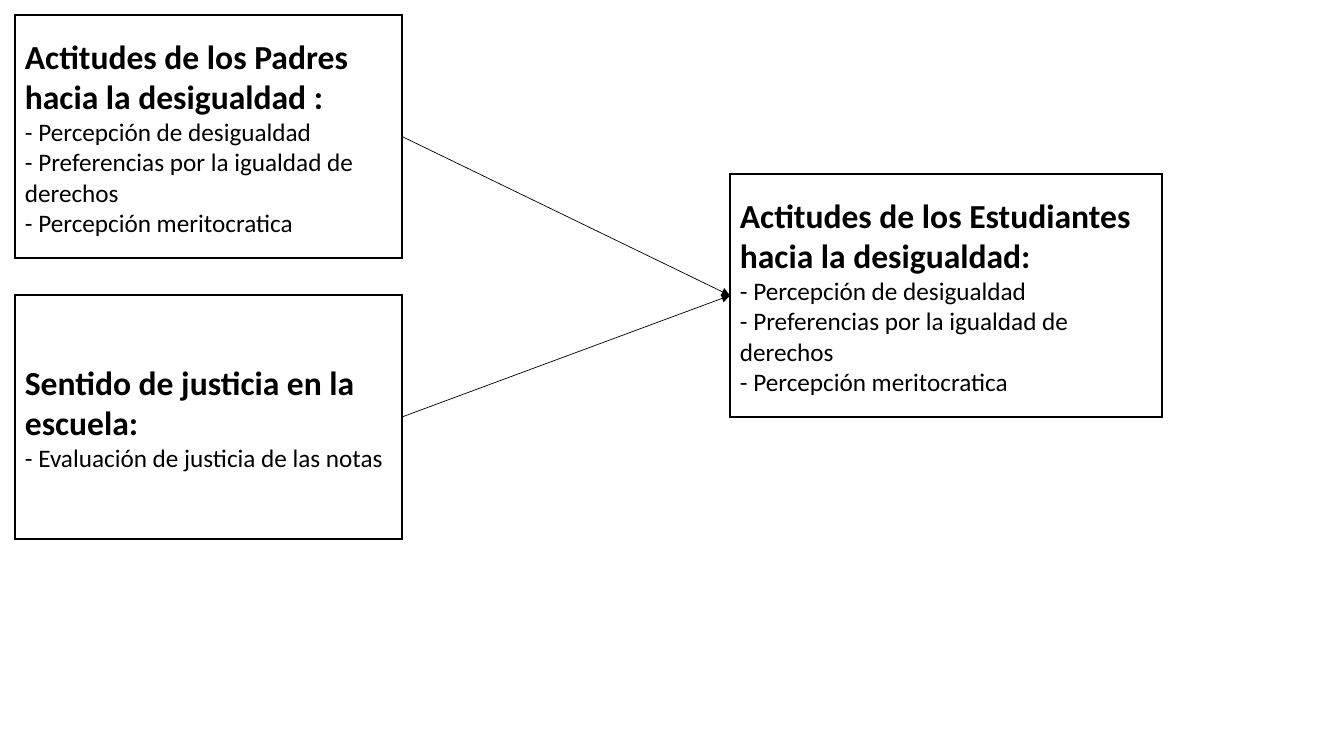
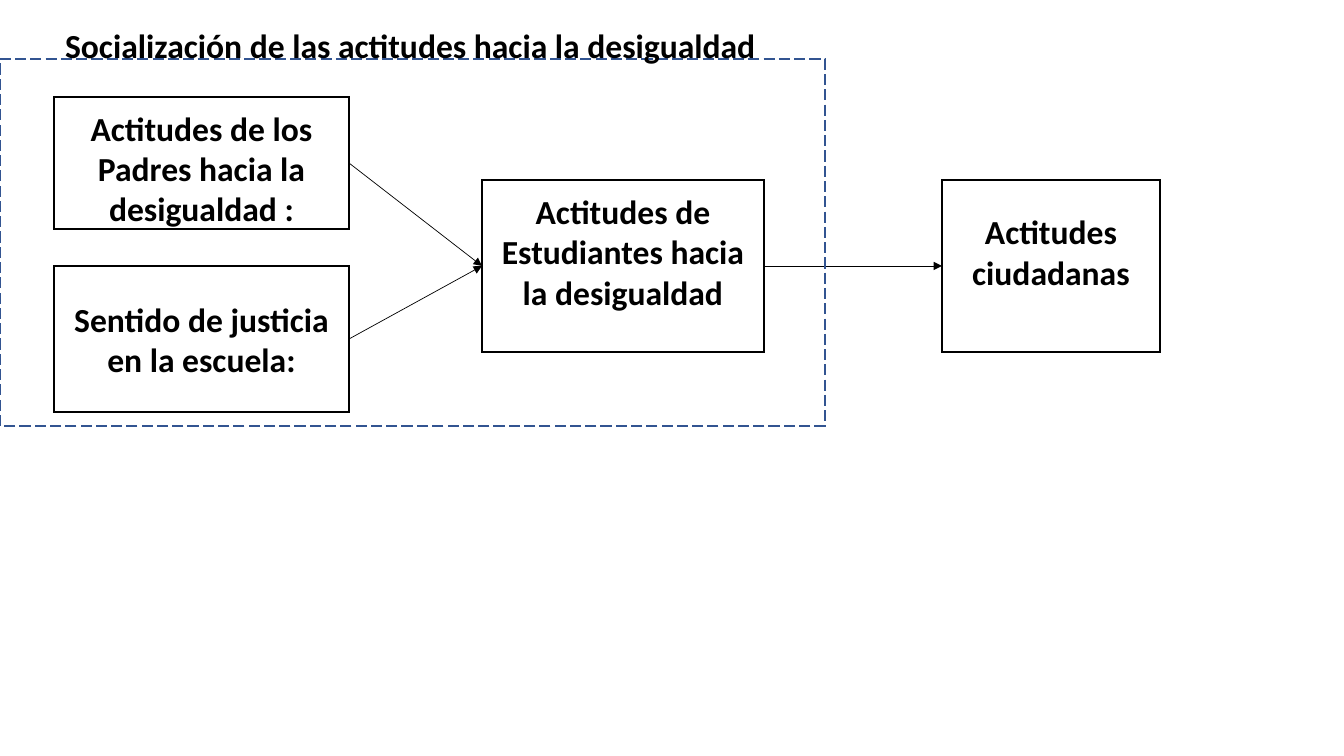
from dataclasses import dataclass

from lxml import etree
from pptx import Presentation
from pptx.dml.color import RGBColor
from pptx.enum.dml import MSO_LINE
from pptx.enum.shapes import MSO_CONNECTOR, MSO_SHAPE
from pptx.enum.text import MSO_ANCHOR, MSO_AUTO_SIZE, PP_ALIGN
from pptx.oxml.ns import qn
from pptx.shapes.autoshape import Shape
from pptx.slide import Slide
from pptx.text.text import TextFrame
from pptx.util import Emu, Pt

RECTANGLE = MSO_SHAPE.RECTANGLE
STRAIGHT = MSO_CONNECTOR.STRAIGHT
LONG_DASH = MSO_LINE.LONG_DASH
LEFT, CENTER = PP_ALIGN.LEFT, PP_ALIGN.CENTER
TOP, MIDDLE = MSO_ANCHOR.TOP, MSO_ANCHOR.MIDDLE
NO_RESIZE = MSO_AUTO_SIZE.NONE

LEFT_SITE, RIGHT_SITE = 1, 3  # connection sites of a rectangle
TITLE_ONLY, BLANK = 5, 6  # layouts of the default template
PAGE_WIDTH, PAGE_HEIGHT = 1344, 756


# Theme
@dataclass(frozen=True)
class Theme:
    font: str = "Calibri"
    ink: RGBColor = RGBColor(0x00, 0x00, 0x00)
    paper: RGBColor = RGBColor(0xFF, 0xFF, 0xFF)
    frame: RGBColor = RGBColor(0x32, 0x54, 0x91)
    heading: float = 24
    item: float = 18
    outline: float = 1
    arrow: float = 0.5


THEME = Theme()


@dataclass(frozen=True)
class Area:
    left: int
    top: int
    width: int
    height: int

    def emu(self) -> tuple[Emu, Emu, Emu, Emu]:
        return px(self.left), px(self.top), px(self.width), px(self.height)


@dataclass(frozen=True)
class Concept:
    key: str
    area: Area
    heading: str
    items: tuple[str, ...] = ()
    align: PP_ALIGN = CENTER
    inset_top: int = 5
    inset_bottom: int = 5


@dataclass(frozen=True)
class Diagram:
    concepts: tuple[Concept, ...]
    arrows: tuple[tuple[str, str], ...]
    title: str = ""
    title_area: Area | None = None
    frame: Area | None = None


def px(pixels: int) -> Emu:
    return Emu(round(pixels * 914400 / 100.8))


# Drawing functions
def write(text_frame: TextFrame, heading: str, *, items: tuple[str, ...] = (),
          align: PP_ALIGN = LEFT, anchor: MSO_ANCHOR = MIDDLE,
          inset_top: int = 5, inset_bottom: int = 5) -> None:
    text_frame.word_wrap = True
    text_frame.auto_size = NO_RESIZE
    text_frame.vertical_anchor = anchor
    text_frame.margin_top, text_frame.margin_bottom = px(inset_top), px(inset_bottom)
    for index, text in enumerate((heading, *items)):
        is_heading = index == 0
        para = text_frame.paragraphs[0] if is_heading else text_frame.add_paragraph()
        para.alignment = align
        span = para.add_run()
        span.text = text
        span.font.name = THEME.font
        span.font.size = Pt(THEME.heading if is_heading else THEME.item)
        span.font.bold = is_heading
        span.font.color.rgb = THEME.ink


def draw_rectangle(page: Slide, area: Area, line_color: RGBColor, *,
                   fill: RGBColor | None = None, dash: MSO_LINE | None = None) -> Shape:
    box = page.shapes.add_shape(RECTANGLE, *area.emu())
    box.shadow.inherit = False
    if fill is None:
        box.fill.background()
    else:
        box.fill.solid()
        box.fill.fore_color.rgb = fill
    box.line.color.rgb = line_color
    box.line.width = Pt(THEME.outline)
    box.line.dash_style = dash
    outline = box.element.spPr.find(qn("a:ln"))
    etree.SubElement(outline, qn("a:miter"), lim="800000")
    return box


def draw_concept(page: Slide, concept: Concept) -> Shape:
    box = draw_rectangle(page, concept.area, THEME.ink, fill=THEME.paper)
    write(box.text_frame, concept.heading, items=concept.items, align=concept.align,
          inset_top=concept.inset_top, inset_bottom=concept.inset_bottom)
    return box


def draw_arrow(page: Slide, cause: Shape, effect: Shape) -> None:
    arrow = page.shapes.add_connector(
        STRAIGHT,
        cause.left + cause.width, cause.top + cause.height // 2,
        effect.left, effect.top + effect.height // 2,
    )
    arrow.begin_connect(cause, RIGHT_SITE)
    arrow.end_connect(effect, LEFT_SITE)
    arrow.line.color.rgb = THEME.ink
    arrow.line.width = Pt(THEME.arrow)
    properties = arrow.element.spPr
    etree.SubElement(properties.find(qn("a:ln")), qn("a:tailEnd"), type="triangle")
    etree.SubElement(properties, qn("a:effectLst"))


def draw_title(page: Slide, text: str, area: Area) -> None:
    title = page.shapes.title
    title.left, title.top, title.width, title.height = area.emu()
    write(title.text_frame, text, anchor=TOP)
    page.shapes.element.append(title.element)  # in front of the frame


def draw_diagram(deck: Presentation, diagram: Diagram) -> None:
    layout = TITLE_ONLY if diagram.title else BLANK
    page = deck.slides.add_slide(deck.slide_layouts[layout])
    boxes = {concept.key: draw_concept(page, concept) for concept in diagram.concepts}
    for cause, effect in diagram.arrows:
        draw_arrow(page, boxes[cause], boxes[effect])
    if diagram.frame:
        draw_rectangle(page, diagram.frame, THEME.frame, dash=LONG_DASH)
    if diagram.title_area:
        draw_title(page, diagram.title, diagram.title_area)


# Content
PARENTS, SCHOOL, STUDENTS, CITIZENS = "parents", "school", "students", "citizens"
PARENTS_HEADING = "Actitudes de los Padres hacia la desigualdad :"
SCHOOL_HEADING = "Sentido de justicia en la escuela:"
INFLUENCES = ((PARENTS, STUDENTS), (SCHOOL, STUDENTS))
ATTITUDES = (
    "- Percepción de desigualdad",
    "- Preferencias por la igualdad de derechos",
    "- Percepción meritocratica",
)
RAISED = 34  # bottom inset that lifts a heading above the middle

DIAGRAMS = (
    Diagram(
        concepts=(
            Concept(PARENTS, Area(15, 15, 387, 243), PARENTS_HEADING, ATTITUDES, LEFT),
            Concept(STUDENTS, Area(730, 174, 432, 243),
                    "Actitudes de los Estudiantes hacia la desigualdad:", ATTITUDES, LEFT),
            Concept(SCHOOL, Area(15, 295, 387, 244), SCHOOL_HEADING,
                    ("- Evaluación de justicia de las notas",), LEFT),
        ),
        arrows=INFLUENCES,
    ),
    Diagram(
        title="Socialización de las actitudes hacia la desigualdad",
        title_area=Area(55, 20, 788, 50),
        frame=Area(0, 59, 825, 367),
        concepts=(
            Concept(CITIZENS, Area(942, 180, 218, 172), "Actitudes ciudadanas",
                    inset_bottom=RAISED),
            Concept(PARENTS, Area(54, 97, 295, 132), PARENTS_HEADING,
                    inset_top=10, inset_bottom=0),
            Concept(STUDENTS, Area(482, 180, 282, 172),
                    "Actitudes de Estudiantes hacia la desigualdad", inset_bottom=RAISED),
            Concept(SCHOOL, Area(54, 266, 295, 146), SCHOOL_HEADING),
        ),
        arrows=(*INFLUENCES, (STUDENTS, CITIZENS)),
    ),
)

# Deck
deck = Presentation()
deck.slide_width, deck.slide_height = px(PAGE_WIDTH), px(PAGE_HEIGHT)
for diagram in DIAGRAMS:
    draw_diagram(deck, diagram)
deck.save("out.pptx")
